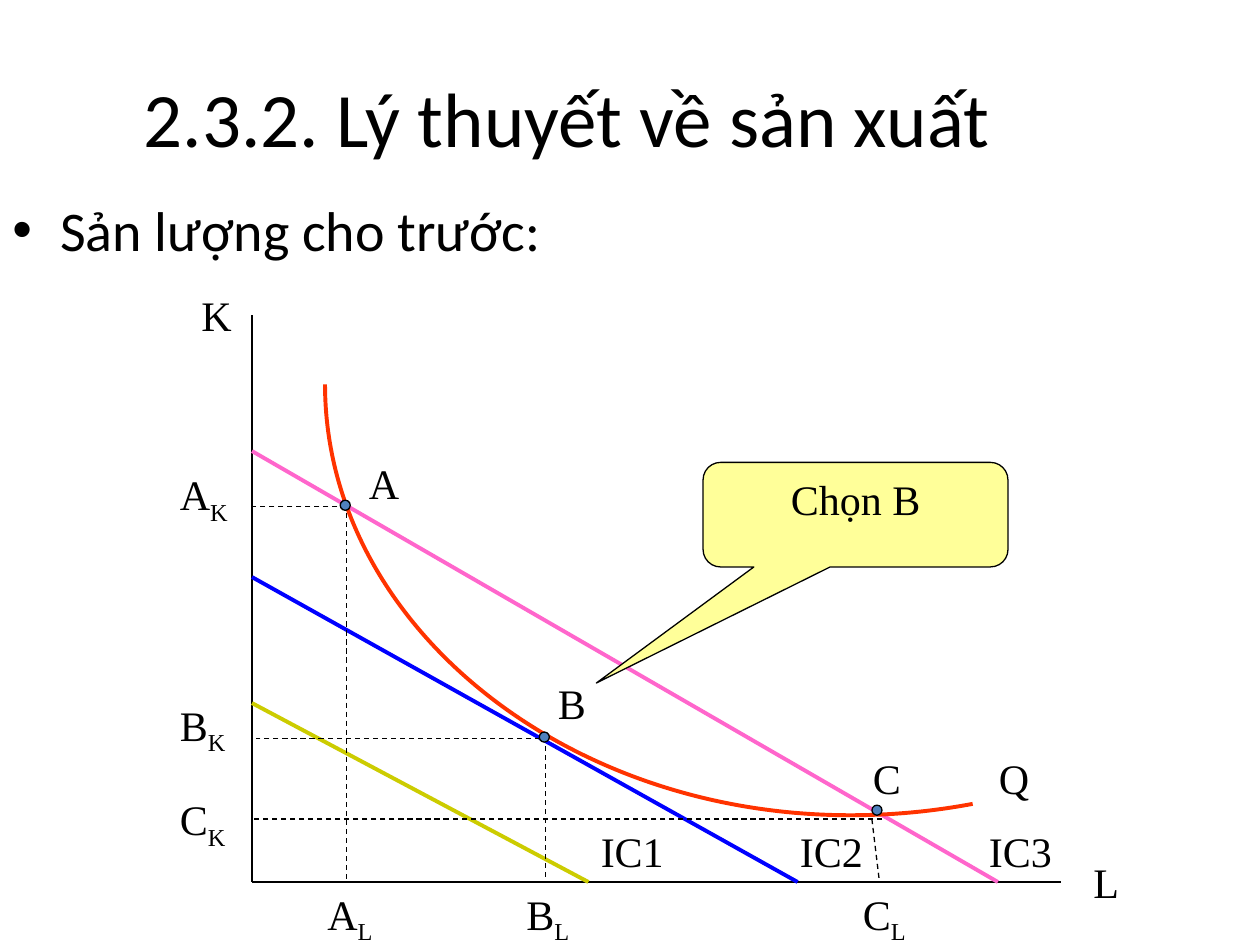
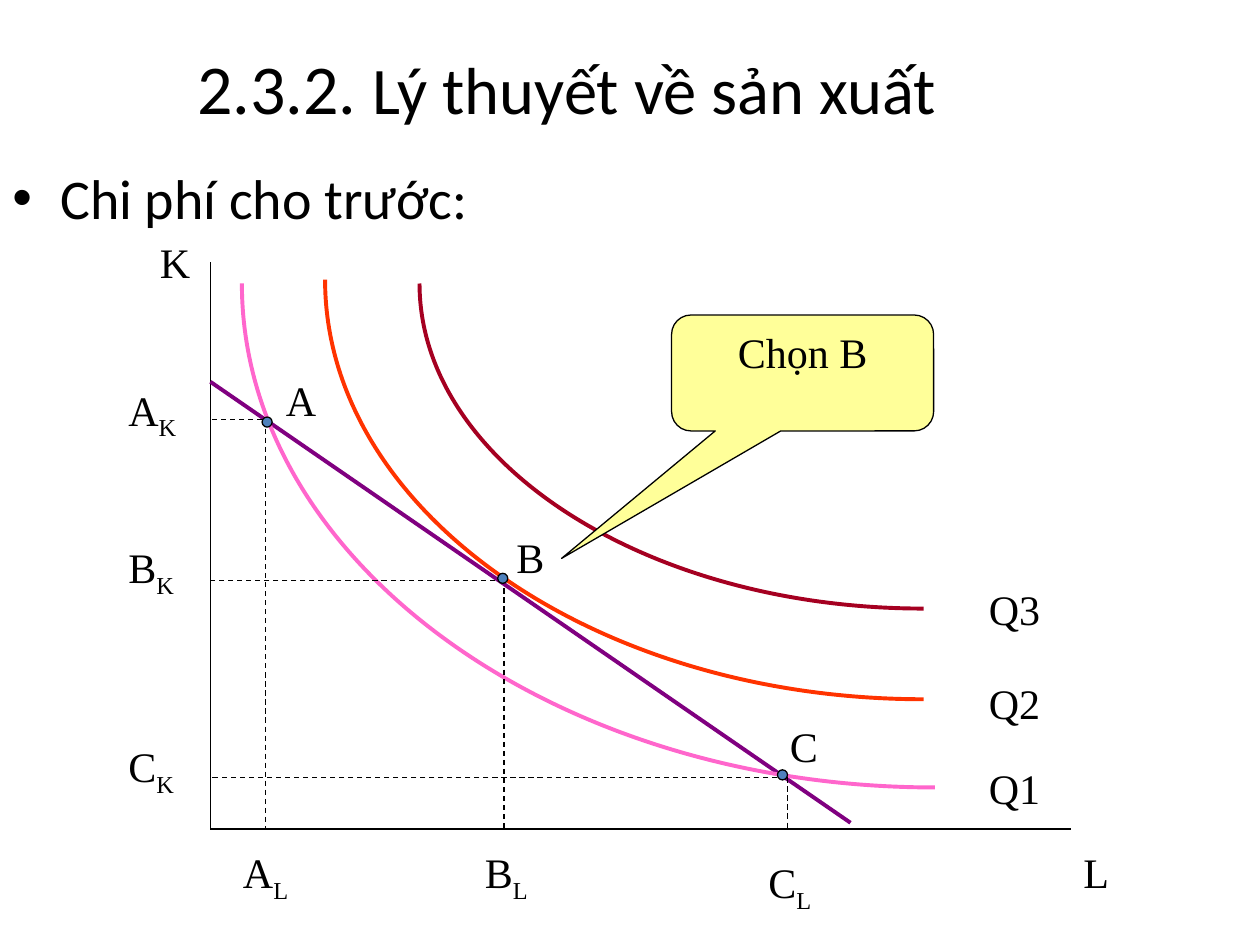
from collections import namedtuple

from lxml.etree import SubElement
from pptx import Presentation
from pptx.dml.color import RGBColor
from pptx.enum.dml import MSO_LINE
from pptx.enum.shapes import MSO_CONNECTOR, MSO_SHAPE as SHAPE
from pptx.enum.text import MSO_ANCHOR as ANCHOR, MSO_AUTO_SIZE as AUTOSIZE, PP_ALIGN as ALIGN
from pptx.oxml.ns import qn
from pptx.util import Inches, Pt

BLACK = RGBColor(0x00, 0x00, 0x00)
OLIVE = RGBColor(0xCC, 0xCC, 0x00)
BLUE = RGBColor(0x00, 0x00, 0xFF)
PINK = RGBColor(0xFF, 0x66, 0xCC)
ORANGE = RGBColor(0xFF, 0x33, 0x00)
CRIMSON = RGBColor(0xA5, 0x00, 0x21)
PURPLE = RGBColor(0x80, 0x00, 0x80)
DOT_BLUE = RGBColor(0x4F, 0x81, 0xBD)
YELLOW = RGBColor(0xFF, 0xFF, 0x99)

HEADING_FONT = "Calibri"
LABEL_FONT = "Times New Roman"
THIN, THICK = 0.75, 2.25
DOT = 0.08
INDENT = Inches(0.38)
ROUNDNESS = 0.55  # handle length of a quarter ellipse, as a share of its radius

Box = namedtuple("Box", "left top width height")
# A point of choice: dot, letter, guides to both axes and the axis labels
Choice = namedtuple("Choice", "letter dot name_at down across k_at l_at")
# An isoquant: quarter ellipse around a centre; "tail" leads in from the right
Isoquant = namedtuple("Isoquant", "color center radii tail", defaults=((),))


def add_run(paragraph, text, size, font):
    run = paragraph.add_run()
    run.text = text
    for name, value in {"size": Pt(size), "name": font}.items():
        setattr(run.font, name, value)
    run.font.color.rgb = BLACK
    return run


def add_text(slide, box, **frame_format):
    frame = slide.shapes.add_textbox(*map(Inches, box)).text_frame
    for name, value in {"word_wrap": True, **frame_format}.items():
        setattr(frame, name, value)
    return frame.paragraphs[0]


def set_line(shape, color, width):
    shape.line.color.rgb = color
    shape.line.width = Pt(width)


def bend_segments(outline):
    """Join each three straight segments into one cubic curve."""
    segments = list(outline._element.iter(qn("a:lnTo")))
    for first in range(0, len(segments), 3):
        curve = SubElement(segments[first].getparent(), qn("a:cubicBezTo"))
        for segment in segments[first:first + 3]:
            curve.append(segment[0])
            segment.getparent().remove(segment)


# Heading: centred title and one bullet
def add_heading(slide, title_box, title_runs, bullet_box, bullet_text):
    title = add_text(slide, title_box, vertical_anchor=ANCHOR.MIDDLE)
    title.alignment = ALIGN.CENTER
    for text, size in title_runs:
        add_run(title, text, size, HEADING_FONT)

    bullet = add_text(slide, bullet_box)
    add_run(bullet, bullet_text, 32, HEADING_FONT)
    props = bullet._p.get_or_add_pPr()
    props.set("marL", str(INDENT))
    props.set("indent", str(-INDENT))
    SubElement(props, qn("a:buFont")).set("typeface", "Arial")
    SubElement(props, qn("a:buChar")).set("char", "•")


class Plot:
    """Diagram whose parts are placed from the top left corner of its axes."""

    def __init__(self, slide, box, label_width):
        self.slide, self.box, self.label_width = slide, box, label_width
        corner = (0, box.height)
        self.line((0, 0), corner)
        self.line(corner, (box.width, box.height))

    def at(self, x, y):
        return Inches(self.box.left + x), Inches(self.box.top + y)

    def line(self, start, end, color=BLACK, width=THIN, dashed=False):
        line = self.slide.shapes.add_connector(
            MSO_CONNECTOR.STRAIGHT, *self.at(*start), *self.at(*end))
        set_line(line, color, width)
        if dashed:
            line.line.dash_style = MSO_LINE.DASH
        SubElement(line._element.spPr, qn("a:effectLst"))

    def isoquant(self, curve):
        (cx, cy), (rx, ry) = curve.center, curve.radii
        quarter = [(cx, cy + ry), (cx - ROUNDNESS * rx, cy + ry),
                   (cx - rx, cy + ROUNDNESS * ry), (cx - rx, cy)]
        start, *rest = [self.at(*point) for point in (*curve.tail, *quarter)]
        builder = self.slide.shapes.build_freeform(*start)
        builder.add_line_segments(rest, close=False)
        arc = builder.convert_to_shape()
        bend_segments(arc)
        arc.fill.background()
        arc.shadow.inherit = False
        set_line(arc, curve.color, THICK)

    def label(self, text, x, y, subscript=""):
        box = (self.box.left + x, self.box.top + y, self.label_width, 0.5)
        paragraph = add_text(self.slide, box, auto_size=AUTOSIZE.SHAPE_TO_FIT_TEXT)
        add_run(paragraph, text, 24, LABEL_FONT)
        if subscript:
            lowered = add_run(paragraph, subscript, 24, LABEL_FONT)
            lowered._r.get_or_add_rPr().set("baseline", "-25000")

    def solid(self, kind, x, y, width, height, color):
        shape = self.slide.shapes.add_shape(
            kind, *self.at(x, y), Inches(width), Inches(height))
        shape.shadow.inherit = False
        shape.fill.solid()
        shape.fill.fore_color.rgb = color
        set_line(shape, BLACK, THIN)
        return shape

    def choice(self, point):
        for start, end in (point.down, point.across):
            self.line(start, end, dashed=True)
        self.solid(SHAPE.OVAL, *point.dot, DOT, DOT, DOT_BLUE)
        self.label(point.letter, *point.name_at)
        self.label(point.letter, *point.k_at, subscript="K")
        self.label(point.letter, *point.l_at, subscript="L")

    def callout(self, box, tip):
        bubble = self.solid(SHAPE.ROUNDED_RECTANGULAR_CALLOUT, *box, YELLOW)
        for index, value in enumerate((*tip, 0.167)):
            bubble.adjustments[index] = value
        bubble.text_frame.vertical_anchor = ANCHOR.TOP
        paragraph = bubble.text_frame.paragraphs[0]
        paragraph.alignment = ALIGN.CENTER
        add_run(paragraph, "Chọn B", 24, LABEL_FONT)


def draw_plot(slide, box, label_width, costs, curves, labels, choices, callout):
    plot = Plot(slide, box, label_width)
    for color, start, end in costs:
        plot.line(start, end, color, THICK)
    for curve in curves:
        plot.isoquant(curve)
    for text, x, y in labels:
        plot.label(text, x, y)
    for point in choices:
        plot.choice(point)
    plot.callout(*callout)


# Slide 1: lowest cost for a given output
def given_output(slide):
    add_heading(slide, (0, 0.3, 9, 1.25), [("2.3.2. Lý thuyết về sản xuất", 44)],
                (0, 1.5, 9, 0.83), "Sản lượng cho trước:")
    box = Box(2, 2.5, 6.42, 4.5)
    base = box.height
    draw_plot(
        slide, box, 0.83,
        costs=[(OLIVE, (0, 3.08), (2.67, base)),
               (BLUE, (0, 2.08), (4.33, base)),
               (PINK, (0, 1.08), (5.92, base))],
        curves=[Isoquant(ORANGE, (4.75, 0.55), (4.17, 3.42),
                         ((5.72, 3.88), (5.4, 3.94), (5.08, 3.97)))],
        labels=[("K", -0.5, -0.25), ("L", 6.58, 4.25), ("Q", 5.83, 3.42),
                ("IC1", 2.67, 4), ("IC2", 4.25, 4), ("IC3", 5.75, 4)],
        choices=[
            Choice("A", (0.7, 1.47), (0.83, 1.08), ((0.75, 1.5), (0.75, base)),
                   ((0.75, 1.52), (0, 1.52)), (-0.67, 1.17), (0.5, base)),
            Choice("B", (2.28, 3.31), (2.33, 2.83), ((2.33, 3.42), (2.33, base)),
                   ((2.36, 3.36), (0.03, 3.36)), (-0.67, 3), (2.08, base)),
            Choice("C", (4.92, 3.89), (4.83, 3.42), ((4.92, 4), (4.98, base)),
                   ((5, 4), (0, 4)), (-0.67, 3.75), (4.75, base)),
        ],
        callout=((3.58, 1.17, 2.42, 0.83), (-0.85, 1.61)))


# Slide 2: highest output for a given cost
def given_cost(slide):
    add_heading(slide, (0, 0.3, 9, 0.78),
                [("2.3.2. ", 40), ("Lý thuyết về sản xuất", 38)],
                (0, 1.25, 9, 0.67), "Chi phí cho trước:")
    box = Box(1.67, 2.08, 6.83, 4.5)
    base = box.height
    draw_plot(
        slide, box, 0.75,
        costs=[(PURPLE, (0, 0.95), (5.08, 4.45))],
        curves=[Isoquant(PINK, (5.75, 0.17), (5.5, 4)),
                Isoquant(ORANGE, (5.66, 0.14), (4.75, 3.33)),
                Isoquant(CRIMSON, (5.66, 0.17), (4, 2.58))],
        labels=[("K", -0.5, -0.25), ("L", 6.83, 4.59), ("Q1", 6.08, 3.92),
                ("Q2", 6.08, 3.25), ("Q3", 6.08, 2.5)],
        choices=[
            Choice("A", (0.41, 1.23), (0.5, 0.84), ((0.44, 1.25), (0.44, base)),
                   ((0.41, 1.25), (0, 1.25)), (-0.75, 0.92), (0.16, 4.59)),
            Choice("B", (2.28, 2.47), (2.33, 2.09), ((2.33, 2.59), (2.33, base)),
                   ((2.33, 2.53), (0, 2.53)), (-0.75, 2.17), (2.08, 4.59)),
            Choice("C", (4.5, 4.03), (4.5, 3.59), ((4.58, 4.09), (4.58, base)),
                   ((4.5, 4.09), (0, 4.09)), (-0.75, 3.75), (4.33, 4.67)),
        ],
        callout=((3.66, 0.42, 2.08, 0.92), (-0.92, 1.6)))


def main():
    deck = Presentation()
    deck.slide_width, deck.slide_height = Inches(10), Inches(7.5)
    blank = deck.slide_layouts[6]
    for build in (given_output, given_cost):
        build(deck.slides.add_slide(blank))
    deck.save("out.pptx")


if __name__ == "__main__":
    main()
